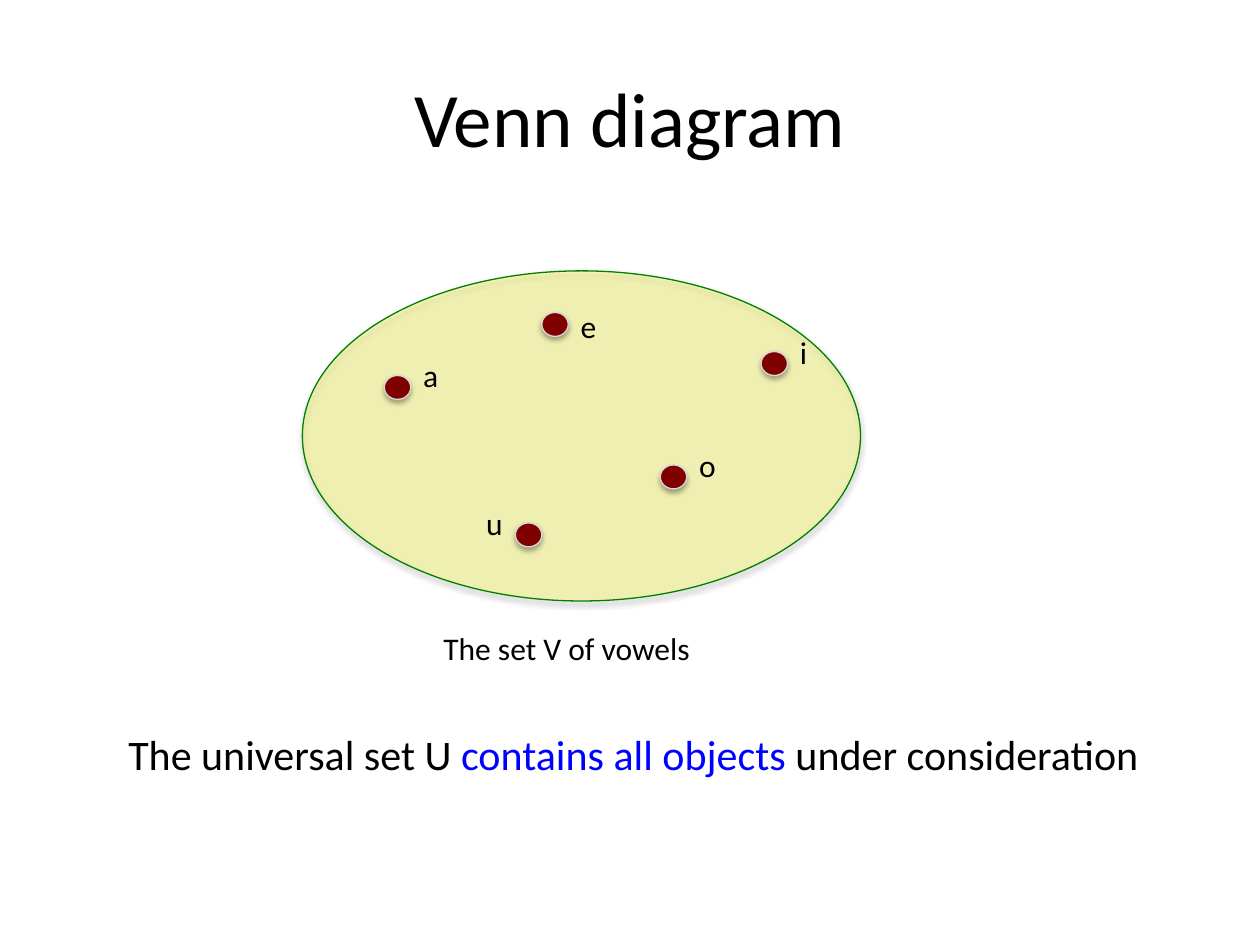
"""Build the Venn diagram slide showing the set of vowels."""
from lxml.etree import SubElement
from pptx import Presentation
from pptx.dml.color import RGBColor
from pptx.enum.shapes import MSO_SHAPE
from pptx.enum.text import MSO_ANCHOR, PP_ALIGN
from pptx.oxml.ns import qn
from pptx.util import Inches, Pt

COLUMNS, ROWS = 100, 75
BLACK, BLUE, MAROON, GREEN = "000000", "0000FF", "800000", "008000"
YELLOW, GREY = "FFFF00", "D8D8D8"

TITLE = ("Venn diagram", (5, 3, 90, 12.5))
VOWEL_SET = (24, 21.5, 44.3, 26.2)
DOT_WIDTH, DOT_HEIGHT = 2.1, 1.9
LABEL_HEIGHT, LABEL_RISE = 4, 2
VOWELS = [
    {"letter": "a", "dot": (30.5, 29.8), "width": 3.2},
    {"letter": "u", "dot": (40.9, 41.5), "width": 3.3, "side": "left"},
    {"letter": "o", "dot": (52.4, 36.9), "width": 3.4},
    {"letter": "i", "dot": (60.4, 27.9), "width": 2.6},
    {"letter": "e", "dot": (43, 24.8), "width": 3.3, "rise": 0.9},
]
CAPTION = ("The set V of vowels", (34.2, 49.4, 21.8, 4))
STATEMENT = (
    [("The universal set U ", BLACK), ("contains all objects ", BLUE), ("under consideration", BLACK)],
    (9.2, 57.3, 83, 5),
)

deck = Presentation()
deck.slide_width, deck.slide_height = Inches(10), Inches(7.5)
slide = deck.slides.add_slide(deck.slide_layouts[6])


def color(hex_string):
    return RGBColor.from_string(hex_string)


def place(area):
    left, top, width, height = area
    column, row = deck.slide_width / COLUMNS, deck.slide_height / ROWS
    return round(left * column), round(top * row), round(width * column), round(height * row)


def add_text(text, area, size=18, align=PP_ALIGN.LEFT, anchor=MSO_ANCHOR.TOP, wrap=False):
    frame = slide.shapes.add_textbox(*place(area)).text_frame
    frame.word_wrap, frame.vertical_anchor = wrap, anchor
    paragraph = frame.paragraphs[0]
    paragraph.alignment = align
    for words, shade in [(text, BLACK)] if isinstance(text, str) else text:
        run = paragraph.add_run()
        run.text = words
        run.font.name, run.font.size = "Calibri", Pt(size)
        run.font.color.rgb = color(shade)


def set_alpha(color_element, percent):
    SubElement(color_element, qn("a:alpha"), val=str(percent * 1000))


def add_ellipse(area, fill, line, opacity=100):
    ellipse = slide.shapes.add_shape(MSO_SHAPE.OVAL, *place(area))
    ellipse.fill.solid()
    ellipse.fill.fore_color.rgb = color(fill)
    ellipse.line.color.rgb = color(line)
    ellipse.line.width = Pt(0.75)
    ellipse.shadow.inherit = False
    properties = ellipse._element.spPr
    if opacity < 100:
        set_alpha(properties.find(qn("a:solidFill"))[0], opacity)
    shadow = SubElement(
        properties.find(qn("a:effectLst")), qn("a:outerShdw"),
        blurRad=str(Pt(3.1)), dist=str(Pt(1.8)), dir=str(90 * 60000), rotWithShape="0",
    )
    set_alpha(SubElement(shadow, qn("a:srgbClr"), val=BLACK), 35)


def add_label(vowel):
    left, top = vowel["dot"]
    shift = -vowel["width"] if vowel.get("side") == "left" else DOT_WIDTH
    area = (left + shift, top - vowel.get("rise", LABEL_RISE), vowel["width"], LABEL_HEIGHT)
    add_text(vowel["letter"], area)


add_text(*TITLE, size=44, align=PP_ALIGN.CENTER, anchor=MSO_ANCHOR.MIDDLE, wrap=True)
add_ellipse(VOWEL_SET, YELLOW, GREEN, opacity=24)
for vowel in VOWELS:
    add_ellipse((*vowel["dot"], DOT_WIDTH, DOT_HEIGHT), MAROON, GREY)
for vowel in VOWELS:
    add_label(vowel)
add_text(*CAPTION)
add_text(*STATEMENT, size=24)

deck.save("out.pptx")
